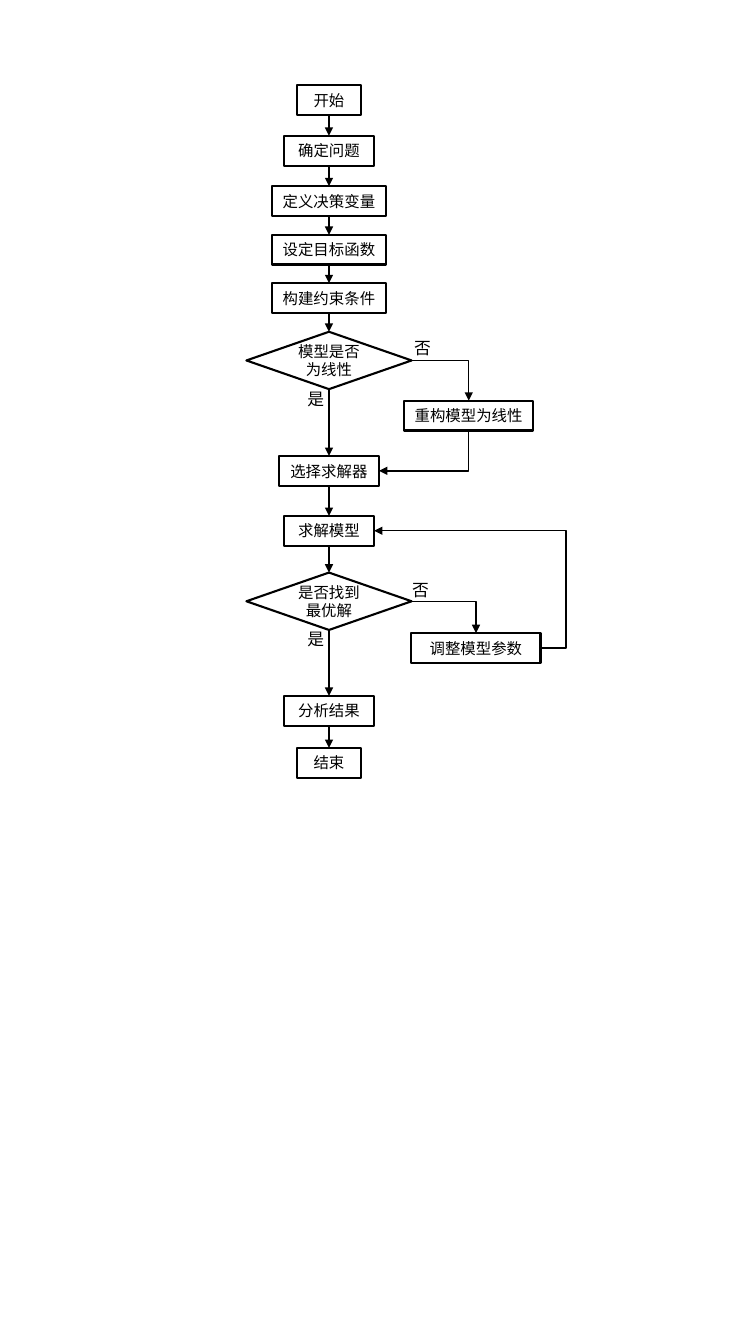
from lxml import etree
from pptx import Presentation
from pptx.dml.color import RGBColor
from pptx.enum import shapes as es, text as et
from pptx.oxml.ns import qn
from pptx.util import Pt

BLACK = RGBColor(0, 0, 0)
FACE = "Noto Sans CJK SC"
MID = 235  # centre line of the main column
TALL = {"rect": 21.3, "diamond": 41}
KINDS = {"rect": es.MSO_SHAPE.RECTANGLE, "diamond": es.MSO_SHAPE.DIAMOND}
TOP, LEFT, BOTTOM, RIGHT = range(4)  # connection sites

# Steps: key, text, kind, centre x, top, width
STEPS = [
    ("start", "开始", "rect", MID, 61, 45.5),
    ("problem", "确定问题", "rect", MID, 97, 64.5),
    ("vars", "定义决策变量", "rect", MID, 133, 81.5),
    ("goal", "设定目标函数", "rect", MID, 167.7, 81.5),
    ("limits", "构建约束条件", "rect", MID, 202.3, 81.5),
    ("linear", "模型是否为线性", "diamond", MID, 237, 118),
    ("solver", "选择求解器", "rect", MID, 325.7, 71.5),
    ("solve", "求解模型", "rect", MID, 368.5, 64.5),
    ("best", "是否找到最优解", "diamond", MID, 409, 118),
    ("result", "分析结果", "rect", MID, 497, 64.5),
    ("end", "结束", "rect", MID, 534.2, 45.5),
    ("rebuild", "重构模型为线性", "rect", 334.8, 286.2, 92.3),
    ("tune", "调整模型参数", "rect", 340, 452.2, 92.3),
]
# Branch labels: text, left, top, width
LABELS = [
    ("否", 288.7, 237.6, 28),
    ("是", 212.4, 274.2, 27),
    ("否", 287.3, 410.4, 28),
    ("是", 212.4, 445.8, 27),
]
# Bends: from, site, to, site, arrow end, preset, adjustment
BENDS = [
    ("linear", RIGHT, "rebuild", TOP, "tailEnd", "bentConnector2", None),
    ("solver", RIGHT, "rebuild", BOTTOM, "headEnd", "bentConnector2", None),
    ("best", RIGHT, "tune", TOP, "tailEnd", "bentConnector2", None),
    ("tune", RIGHT, "solve", RIGHT, "tailEnd", "bentConnector3", -0.152),
]

prs = Presentation()
prs.slide_width, prs.slide_height = Pt(540), Pt(960)
slide = prs.slides.add_slide(prs.slide_layouts[6])


def write(frame, words, size, align):
    frame.word_wrap = True
    para = frame.paragraphs[0]
    para.text = words
    para.alignment = align
    font = para.font
    font.size, font.name = Pt(size), FACE
    font.color.rgb = BLACK
    props = para._p.find(".//" + qn("a:defRPr"))
    etree.SubElement(props, qn("a:ea"), typeface=FACE)


def step(words, kind, mid, top, wide):
    box = slide.shapes.add_shape(KINDS[kind], Pt(mid - wide / 2), Pt(top),
                                 Pt(wide), Pt(TALL[kind]))
    box.shadow.inherit = False
    box.fill.background()
    box.line.color.rgb = BLACK
    box.line.width = Pt(1.5)
    box.text_frame.vertical_anchor = et.MSO_ANCHOR.MIDDLE
    write(box.text_frame, words, 11, et.PP_ALIGN.CENTER)
    return box


def link(kind, first, out, last, into, tip="tailEnd"):
    line = slide.shapes.add_connector(kind, 0, 0, 0, 0)
    line.begin_connect(first, out)
    line.end_connect(last, into)
    line.line.color.rgb = BLACK
    line.line.width = Pt(1)
    props = line._element.spPr
    etree.SubElement(props.find(qn("a:ln")), qn("a:" + tip), type="triangle")
    etree.SubElement(props, qn("a:effectLst"))
    return line


# Boxes and diamonds
boxes = {key: step(*rest) for key, *rest in STEPS}

# Straight arrows down the main column
main = [boxes[key] for key, _, _, mid, _, _ in STEPS if mid == MID]
for upper, lower in zip(main, main[1:]):
    link(es.MSO_CONNECTOR.STRAIGHT, upper, BOTTOM, lower, TOP)

# Bent arrows of the side branches
for first, out, last, into, tip, preset, shift in BENDS:
    line = link(es.MSO_CONNECTOR.ELBOW, boxes[first], out, boxes[last], into, tip)
    geom = line._element.spPr.find(qn("a:prstGeom"))
    geom.set("prst", preset)
    if shift is not None:
        etree.SubElement(geom.find(qn("a:avLst")), qn("a:gd"), name="adj1",
                         fmla=f"val {round(shift * 100000)}")

# Yes and no labels
for words, left, top, wide in LABELS:
    note = slide.shapes.add_textbox(Pt(left), Pt(top), Pt(wide), Pt(21.6))
    write(note.text_frame, words, 12, et.PP_ALIGN.LEFT)

prs.save("out.pptx")
